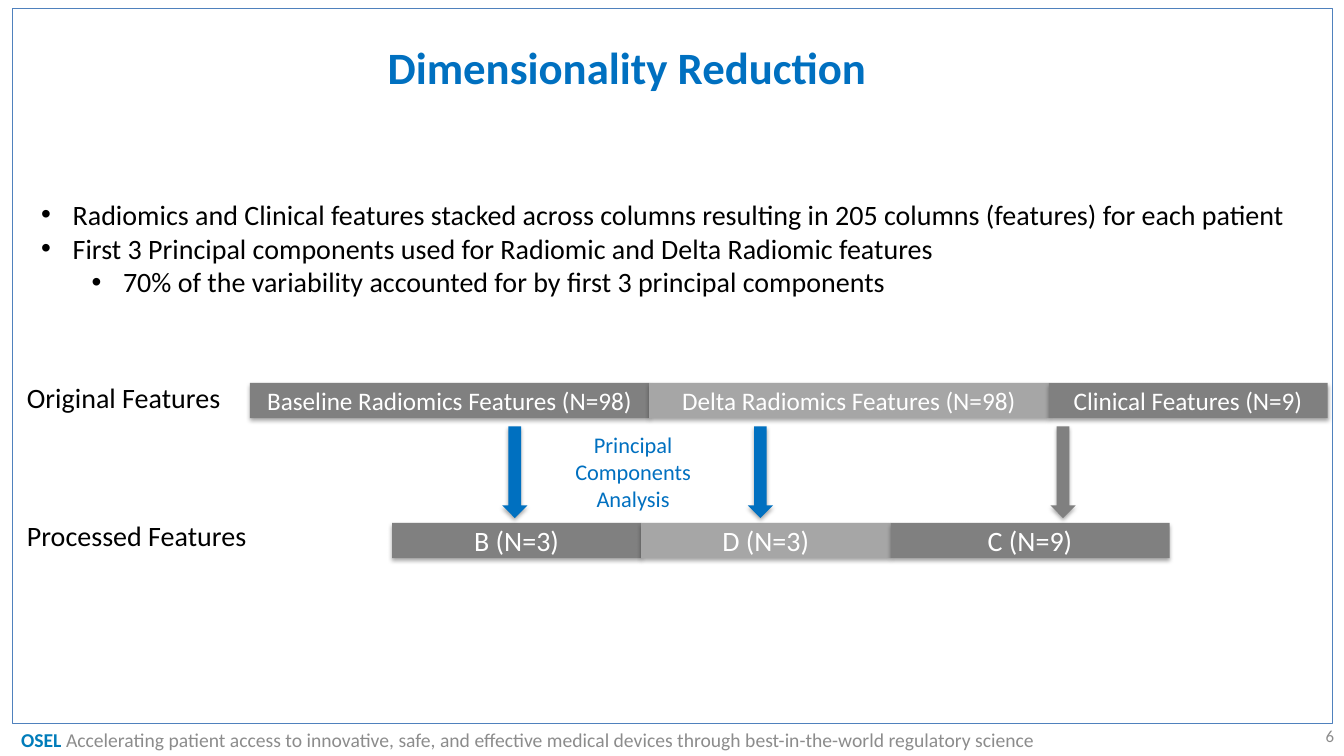
from lxml import etree
from pptx import Presentation
from pptx.dml.color import RGBColor
from pptx.enum.shapes import MSO_SHAPE
from pptx.enum.text import MSO_ANCHOR, PP_ALIGN
from pptx.oxml.ns import qn
from pptx.util import Pt

RECTANGLE, DOWN_ARROW = MSO_SHAPE.RECTANGLE, MSO_SHAPE.DOWN_ARROW
TOP, MIDDLE = MSO_ANCHOR.TOP, MSO_ANCHOR.MIDDLE
LEFT, CENTER, RIGHT = PP_ALIGN.LEFT, PP_ALIGN.CENTER, PP_ALIGN.RIGHT

THEME = {
    "font": "Calibri",
    "blue": RGBColor(0x00, 0x70, 0xC0),
    "frame": RGBColor(0x4F, 0x81, 0xBD),
    "agency": RGBColor(0x00, 0x7C, 0xBA),
    "muted": RGBColor(0x8C, 0x8C, 0x8C),
    "dark": RGBColor(0x80, 0x80, 0x80),
    "light": RGBColor(0xA6, 0xA6, 0xA6),
    "black": RGBColor(0, 0, 0),
    "white": RGBColor(255, 255, 255),
    "title": 32, "body": 20, "bar": 18, "method": 16, "footer": 14, "number": 12,
}

deck = Presentation()
deck.slide_width, deck.slide_height = Pt(960), Pt(540)
slide = deck.slides.add_slide(deck.slide_layouts[5])


def write(holder, runs, size, anchor=TOP, align=LEFT):
    frame = holder.text_frame
    for name, value in {"word_wrap": True, "vertical_anchor": anchor}.items():
        setattr(frame, name, value)
    paragraph = frame.paragraphs[0]
    paragraph.alignment = align
    for text, color, bold in runs:
        run = paragraph.add_run()
        run.text = text
        looks = {"name": THEME["font"], "size": Pt(THEME[size]), "bold": bold}
        for name, value in looks.items():
            setattr(run.font, name, value)
        run.font.color.rgb = THEME[color]


def add_raised(kind, box, color):
    raised = slide.shapes.add_shape(kind, *map(Pt, box))
    raised.fill.solid()
    raised.fill.fore_color.rgb = THEME[color]
    raised.line.fill.background()
    raised.shadow.inherit = False
    effects = raised._element.spPr.find(qn("a:effectLst"))
    shadow = etree.SubElement(effects, qn("a:outerShdw"), blurRad=str(Pt(3.1)),
                              dist=str(Pt(1.8)), dir="5400000", rotWithShape="0")
    tint = etree.SubElement(shadow, qn("a:srgbClr"), val="000000")
    etree.SubElement(tint, qn("a:alpha"), val="35000")
    return raised


border = slide.shapes.add_shape(RECTANGLE, Pt(8.5), Pt(6), Pt(943), Pt(511))
border.shadow.inherit = False
border.fill.background()
border.line.color.rgb = THEME["frame"]
border.line.width = Pt(0.5)

title = slide.shapes.title
title_box = {"left": 34, "top": 11.5, "width": 828, "height": 72.5}
for name, value in title_box.items():
    setattr(title, name, Pt(value))
write(title, [("Dimensionality Reduction", "blue", True)], "title", MIDDLE, CENTER)

mission = ("Accelerating patient access to innovative, safe, and effective medical "
           "devices through best-in-the-world regulatory science")
captions = [
    ((8, 513.5, 816, 29), [("OSEL ", "agency", True), (mission, "muted", False)],
     "footer", MIDDLE, LEFT),
    ((736, 511, 224, 29), [("6", "muted", False)], "number", MIDDLE, RIGHT),
    ((12.2, 268.5, 166, 31.5), [("Original Features", "black", False)], "body", TOP, LEFT),
    ((12.2, 366.5, 199.5, 31.5), [("Processed Features", "black", False)], "body", TOP, LEFT),
    ((395.3, 304.5, 113.8, 65.5), [("Principal Components Analysis", "blue", False)],
     "method", TOP, CENTER),
]
for box, runs, size, anchor, align in captions:
    write(slide.shapes.add_textbox(*map(Pt, box)), runs, size, anchor, align)

findings = [
    (0, "Radiomics and Clinical features stacked across columns resulting in 205 columns "
        "(features) for each patient"),
    (0, "First 3 Principal components used for Radiomic and Delta Radiomic features"),
    (1, "70% of the variability accounted for by first 3 principal components"),
]
summary = slide.shapes.add_textbox(Pt(22.3), Pt(137.5), Pt(915), Pt(80)).text_frame
summary.word_wrap = True
for index, (level, finding) in enumerate(findings):
    point = summary.add_paragraph() if index else summary.paragraphs[0]
    point.text = finding
    point.level = level
    layout = point._p.get_or_add_pPr()
    layout.set("marL", str(Pt(22.5 + 36 * level)))
    layout.set("indent", str(Pt(-22.5)))
    etree.SubElement(layout, qn("a:buFont"), typeface="Arial")
    etree.SubElement(layout, qn("a:buChar"), char="•")
    for name, value in {"name": THEME["font"], "size": Pt(THEME["body"])}.items():
        setattr(point.font, name, value)
    point.font.color.rgb = THEME["black"]

feature_rows = [
    (178.5, 273.5, "bar", [("Baseline Radiomics Features (N=98)", 285.2, "dark"),
                           ("Delta Radiomics Features (N=98)", 285.2, "light"),
                           ("Clinical Features (N=9)", 199.5, "dark")]),
    (280, 373.5, "body", [("B (N=3)", 178, "dark"),
                          ("D (N=3)", 178, "light"),
                          ("C (N=9)", 199.5, "dark")]),
]
for left, top, size, features in feature_rows:
    for label, width, color in features:
        feature = add_raised(RECTANGLE, (left, top, width, 25.2), color)
        write(feature, [(label, "white", False)], size, MIDDLE, CENTER)
        left += width

for left, color in [(358.7, "blue"), (534.2, "blue"), (750.3, "dark")]:
    add_raised(DOWN_ARROW, (left, 304.5, 18, 65.5), color)

deck.save("out.pptx")
